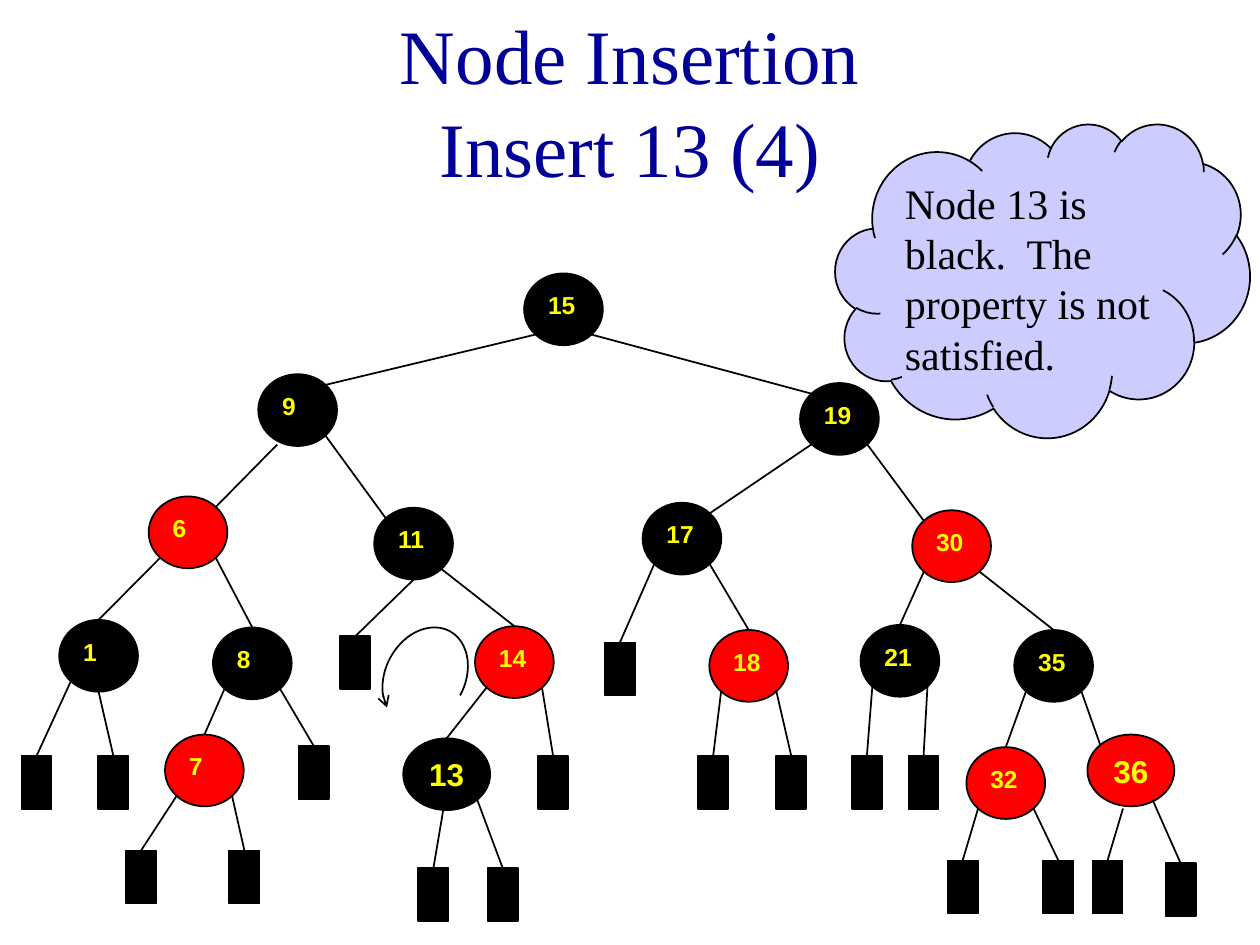
from pptx import Presentation
from pptx.dml.color import RGBColor
from pptx.enum.shapes import MSO_CONNECTOR, MSO_SHAPE
from pptx.enum.text import MSO_ANCHOR, MSO_AUTO_SIZE, PP_ALIGN
from pptx.oxml.ns import qn
from pptx.util import Inches, Pt
from lxml import etree

LEFT, CENTER = PP_ALIGN.LEFT, PP_ALIGN.CENTER
TOP, MIDDLE = MSO_ANCHOR.TOP, MSO_ANCHOR.MIDDLE
NO_FIT = MSO_AUTO_SIZE.NONE
OVAL, RECT = MSO_SHAPE.OVAL, MSO_SHAPE.RECTANGLE
CLOUD, ARC = MSO_SHAPE.CLOUD, MSO_SHAPE.ARC
STRAIGHT = MSO_CONNECTOR.STRAIGHT

BLACK = RGBColor(0x00, 0x00, 0x00)
RED = RGBColor(0xFF, 0x00, 0x00)
YELLOW = RGBColor(0xFF, 0xFF, 0x00)
NAVY = RGBColor(0x00, 0x00, 0x99)
LILAC = RGBColor(0xCC, 0xCC, 0xFF)

COLS, ROWS = 100, 75
NODE, BIG_NODE, LEAF = (6.25, 5.7), (6.9, 5.7), (2.4, 4.2)
BIG = {13, 36}

NODES = {
    15: (41.6, 21.7, BLACK), 9: (20.5, 29.7, BLACK), 19: (63.5, 30.4, BLACK),
    6: (11.8, 39.4, RED), 11: (29.7, 40.3, BLACK), 17: (51, 39.9, BLACK),
    30: (72.4, 40.5, RED), 1: (4.7, 49.2, BLACK), 8: (16.9, 49.8, BLACK),
    14: (37.7, 49.7, RED), 18: (56.3, 50, RED), 21: (68.3, 49.6, BLACK),
    35: (80.5, 50, BLACK), 7: (13.1, 58.3, RED), 32: (76.7, 59.3, RED),
    13: (32, 58.6, BLACK), 36: (86.3, 58.3, RED),
}
LEAVES = {
    1: [(1.7, 60), (7.8, 60)], 8: [(23.7, 59.2)], 11: [(27, 50.5)],
    7: [(10, 67.5), (18.2, 67.5)], 13: [(33.2, 68.9), (38.7, 68.9)],
    14: [(42.7, 60)], 17: [(48, 51)], 18: [(55.4, 60), (61.6, 60)],
    21: [(67.6, 60), (72.1, 60)], 32: [(75.2, 68.3), (82.8, 68.3)],
    36: [(86.7, 68.3), (92.5, 68.5)],
}
BOTTOM_LEFT, BOTTOM_MID, BOTTOM_RIGHT = (0.15, 0.85), (0.5, 1), (0.85, 0.85)
TOP_LEFT, TOP_MID, TOP_RIGHT = (0.15, 0.15), (0.5, 0), (0.85, 0.15)
BRANCHES = [
    (15, 9, TOP_RIGHT), (15, 19, TOP_LEFT), (9, 6, TOP_RIGHT),
    (9, 11, TOP_LEFT), (19, 17, TOP_RIGHT), (19, 30, TOP_LEFT),
    (6, 1, TOP_MID), (6, 8, TOP_MID), (11, 14, TOP_MID), (17, 18, TOP_MID),
    (30, 21, TOP_MID), (30, 35, TOP_MID), (8, 7, TOP_MID),
    (35, 32, TOP_MID), (35, 36, TOP_LEFT), (14, 13, TOP_MID),
]
SPECIAL_STARTS = {
    (9, "left"): (0.24, 0.98), (11, "left"): BOTTOM_MID,
    (1, "right"): BOTTOM_MID, (13, "left"): (0.48, 0.86),
    (36, "left"): (0.41, 1.03), (36, "right"): (0.75, 0.91),
}


class TreeSlide:
    """Draws a red-black tree on one slide laid out on a COLS by ROWS grid."""

    title_font = {"name": "Times New Roman", "size": Pt(44), "bold": False}
    note_font = {"name": "Times New Roman", "size": Pt(24), "bold": False}
    key_font = {"name": "Arial", "size": Pt(14), "bold": True}
    big_key_font = {**key_font, "size": Pt(18)}

    def __init__(self, prs):
        self.s = prs.slides.add_slide(prs.slide_layouts[5])
        self.cell_w = prs.slide_width / COLS
        self.cell_h = prs.slide_height / ROWS

    def emu(self, col, row):
        return round(col * self.cell_w), round(row * self.cell_h)

    def put_text(self, sp, text, font, color, align, anchor):
        tf = sp.text_frame
        tf.text = text
        frame = {"word_wrap": True, "auto_size": NO_FIT, "vertical_anchor": anchor}
        for name, value in frame.items():
            setattr(tf, name, value)
        for p in tf.paragraphs:
            p.alignment = align
            for r in p.runs:
                for name, value in font.items():
                    setattr(r.font, name, value)
                r.font.color.rgb = color

    def title(self, text, pos, size):
        sp = self.s.shapes.title
        sp.left, sp.top = self.emu(*pos)
        sp.width, sp.height = self.emu(*size)
        self.put_text(sp, text, self.title_font, NAVY, CENTER, MIDDLE)

    def shape(self, kind, pos, size, fill=None):
        sp = self.s.shapes.add_shape(kind, *self.emu(*pos), *self.emu(*size))
        sp.shadow.inherit = False
        if fill is None:
            sp.fill.background()
        else:
            sp.fill.solid()
            sp.fill.fore_color.rgb = fill
        sp.line.color.rgb = BLACK
        sp.line.width = Pt(1)
        return sp

    def node(self, key, col, row, fill):
        sp = self.shape(OVAL, (col, row), node_size(key), fill)
        if key in BIG:
            self.put_text(sp, str(key), self.big_key_font, YELLOW, CENTER, MIDDLE)
        else:
            self.put_text(sp, str(key), self.key_font, YELLOW, LEFT, TOP)

    def leaf(self, pos):
        self.shape(RECT, pos, LEAF, BLACK)

    def branch(self, start, end):
        line = self.s.shapes.add_connector(STRAIGHT, *self.emu(*start), *self.emu(*end))
        line.line.color.rgb = BLACK
        line.line.width = Pt(1)
        etree.SubElement(line._element.spPr, qn("a:effectLst"))

    def cloud(self, text, pos, size):
        sp = self.shape(CLOUD, pos, size, LILAC)
        self.put_text(sp, text, self.note_font, BLACK, LEFT, TOP)

    def rotation_arrow(self, pos, size, angle):
        sp = self.shape(ARC, pos, size)
        sp.adjustments[0], sp.adjustments[1] = 67.49, 0
        sp.rotation = angle
        ln = sp._element.spPr.find(qn("a:ln"))
        etree.SubElement(ln, qn("a:headEnd"), type="arrow")


def node_size(key):
    """Return the grid size of a node."""
    return BIG_NODE if key in BIG else NODE


def point(pos, size, site):
    """Return the grid point at a share of a box."""
    return tuple(p + d * f for p, d, f in zip(pos, size, site))


def branch_start(key, end):
    """Return where a branch toward end leaves a node."""
    pos, size = NODES[key][:2], node_size(key)
    side = "left" if end[0] < pos[0] + size[0] / 2 else "right"
    corner = BOTTOM_LEFT if side == "left" else BOTTOM_RIGHT
    return point(pos, size, SPECIAL_STARTS.get((key, side), corner))


def main():
    """Build and save the slide."""
    prs = Presentation()
    prs.slide_width, prs.slide_height = Inches(10), Inches(7.5)
    tree = TreeSlide(prs)
    tree.title("Node Insertion\vInsert 13 (4)", (7.5, 1.7), (85, 12.5))
    for key, (col, row, fill) in NODES.items():
        tree.node(key, col, row, fill)
    for parent, child, site in BRANCHES:
        end = point(NODES[child][:2], node_size(child), site)
        tree.branch(branch_start(parent, end), end)
    for parent, spots in LEAVES.items():
        for spot in spots:
            tree.leaf(spot)
            end = point(spot, LEAF, TOP_MID)
            tree.branch(branch_start(parent, end), end)
    tree.cloud("Node 13 is black.  The property is not satisfied.", (66.3, 9.8), (32.9, 24.9))
    tree.rotation_arrow((30.6, 49.6), (6.3, 8.2), 28.4)
    prs.save("out.pptx")


if __name__ == "__main__":
    main()
